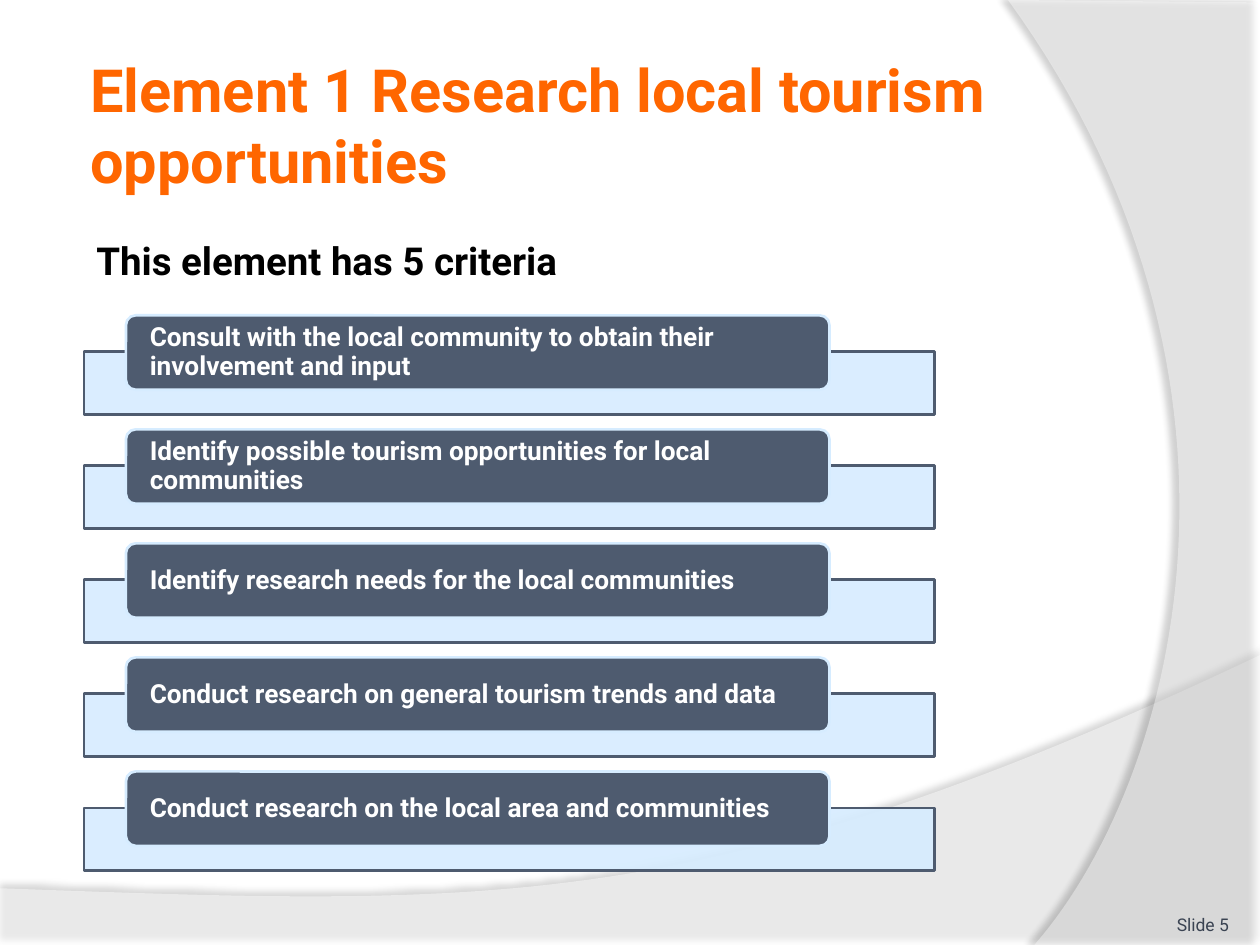
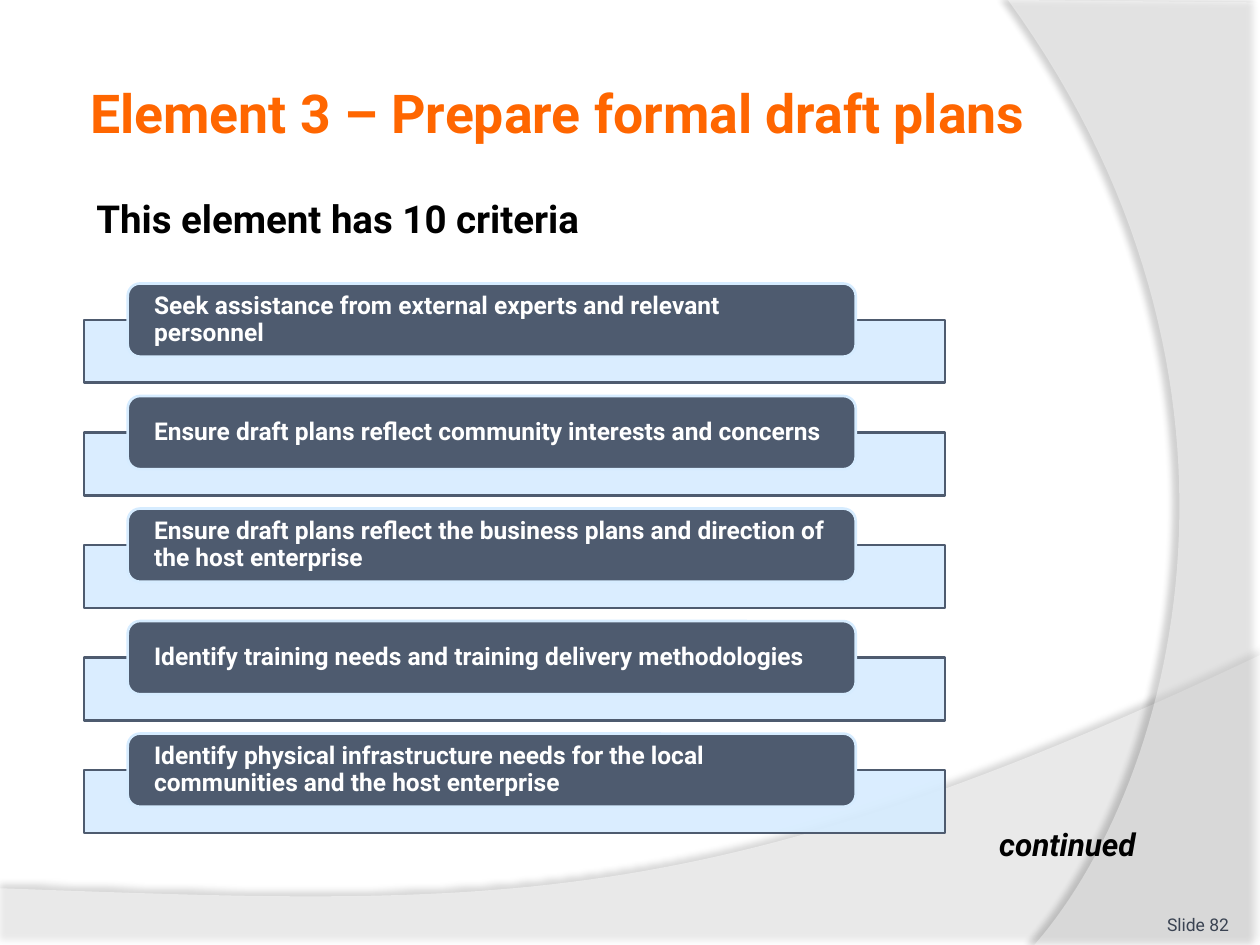
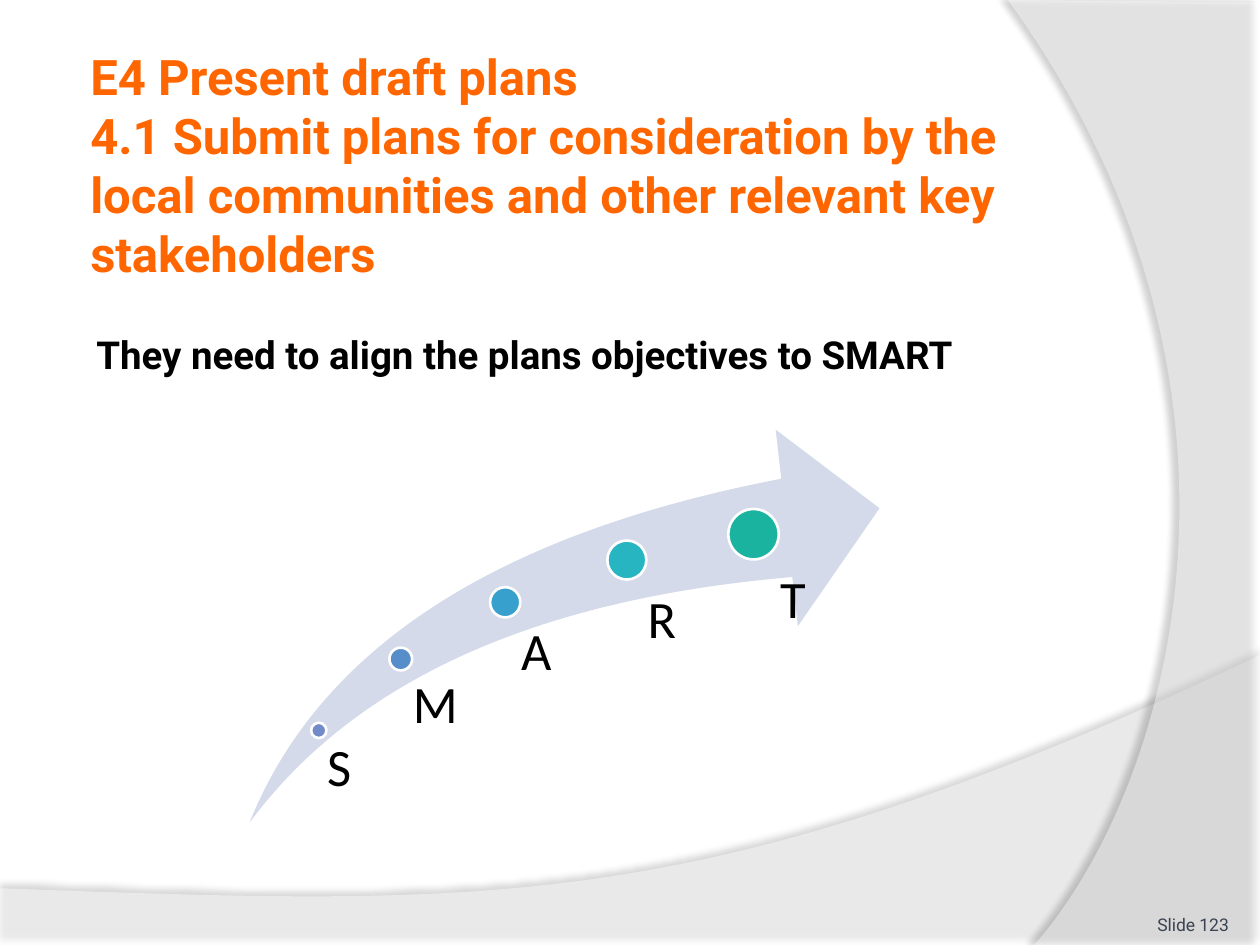
from lxml.etree import SubElement
from pptx import Presentation
from pptx.dml.color import RGBColor
from pptx.enum.shapes import MSO_SHAPE
from pptx.enum.text import MSO_ANCHOR, PP_ALIGN
from pptx.oxml.ns import qn
from pptx.util import Pt

COLORS = {
    "white": "FFFFFF", "black": "000000", "title": "FF6600", "footer": "3A4352",
    "slate": "4E5B6F", "pale": "D6ECFF", "swoosh": "D5DAEB",
    "dot1": "738AC8", "dot2": "578EC9", "dot3": "38A0CC", "dot4": "27B5C2", "dot5": "1AB39F",
}
FONT = "Roboto"
LEFT = 48
NO_INSETS = (0, 0, 0, 0)

SLIDES = [
    {
        "title": ["Element 1 Research local tourism opportunities"],
        "title_box": (LEFT, 26, 588, 90), "title_size": 34,
        "lead": "This element has 5 criteria",
        "lead_box": (LEFT, 131.8, 588, 390),
        "footer": "Slide 5",
        "criteria": [
            "Consult with the local community to obtain their involvement and input",
            "Identify possible tourism opportunities for local communities",
            "Identify research needs for the local communities",
            "Conduct research on general tourism trends and data",
            "Conduct research on the local area and communities",
        ],
        "layout": {"top": 180.2, "pitch": 65.16, "bar_width": 486, "box": (72, 402, 42.5),
                   "corner": 0.13, "inset": 12, "size": 15},
    },
    {
        "title": ["Element 3 – Prepare formal draft plans"],
        "title_box": (LEFT, 26, 605.5, 75.6), "title_size": 30.6,
        "lead": "This element has 10 criteria",
        "lead_box": (LEFT, 108, 588, 371),
        "footer": "Slide 82",
        "criteria": [
            "Seek assistance from external experts and relevant personnel",
            "Ensure draft plans reflect community interests and concerns",
            "Ensure draft plans reflect the business plans and direction of the host enterprise",
            "Identify training needs and training delivery methodologies",
            "Identify physical infrastructure needs for the local communities and the host enterprise",
        ],
        "layout": {"top": 162, "pitch": 64.3, "bar_width": 492, "box": (73, 416, 41.8),
                   "corner": 0.17, "inset": 13, "size": 14},
        "note": "continued",
    },
    {
        "title": ["E4 Present draft plans",
                  "4.1 Submit plans for consideration by the local communities "
                  "and other relevant key stakeholders"],
        "title_box": (LEFT, 26, 588, 136), "title_size": 28,
        "lead": "They need to align the plans objectives to SMART",
        "lead_box": (LEFT, 185.8, 588, 312),
        "footer": "Slide 123",
        "smart": [
            ("S", (182.2, 417.4), 8.8, (423.4, 47.5, 41.8), "dot1"),
            ("M", (229, 376.6), 13, (387.4, 59.8, 72.7), "dot2"),
            ("A", (288.7, 344.2), 17.3, (357.1, 69.1, 100.8), "dot3"),
            ("R", (358.2, 320), 22.3, (339.1, 72, 112.3), "dot4"),
            ("T", (430.6, 305.3), 28.8, (327.6, 72, 121.7), "dot5"),
        ],
    },
]
SWOOSH = (142.6, 245.5, 360, 224.6)
NOTE_BOX = (563.8, 468, 106.5, 29)
FOOTER_BOX = (642.2, 505.4, 60, 28.8)

WAVES = [
    {"points": [(0, 507.6), (0, 540), (720, 540), (720, 374.4)],
     "curve": [(402.5, 524.9), (281.5, 517.7), (0, 507.6)],
     "alpha": 45, "shadow": {"alpha": 35, "blur": 4, "dist": 3.5, "dir": 270}},
    {"points": [(720, 1.4), (720, 540), (591.1, 540)],
     "curve": [(673.2, 445.7), (733, 216), (576, 0)],
     "alpha": 40, "shadow": {"alpha": 45, "blur": 4, "dist": 4, "dir": 180}},
]


def rgb(name):
    return RGBColor.from_string(COLORS[name])


def paint(s, fill, line=None, alpha=None):
    s.shadow.inherit = False
    s.fill.solid()
    s.fill.fore_color.rgb = rgb(fill)
    if alpha:
        color = s._element.spPr.find(qn("a:solidFill"))[0]
        SubElement(color, qn("a:alpha"), val=str(alpha * 1000))
    if line:
        s.line.color.rgb = rgb(line)
        s.line.width = Pt(1.5)
    else:
        s.line.fill.background()


def add_shadow(s, alpha, blur, dist, dir):
    effects = s._element.spPr.find(qn("a:effectLst"))
    outer = SubElement(effects, qn("a:outerShdw"), blurRad=str(Pt(blur)), dist=str(Pt(dist)),
                       dir=str(dir * 60000), algn="ctr", rotWithShape="0")
    color = SubElement(outer, qn("a:srgbClr"), val=COLORS["black"])
    SubElement(color, qn("a:alpha"), val=str(alpha * 1000))


def write(s, lines, size, color, bold=True, italic=False, font=FONT, align=PP_ALIGN.LEFT,
          anchor=MSO_ANCHOR.TOP, insets=(7.2, 3.6, 7.2, 3.6), spacing=None, wrap=True):
    tf = s.text_frame
    tf.word_wrap = wrap
    tf.vertical_anchor = anchor
    tf.margin_left, tf.margin_top, tf.margin_right, tf.margin_bottom = map(Pt, insets)
    p = tf.paragraphs[0]
    p.alignment = align
    if spacing:
        p.line_spacing = spacing
    for i, line in enumerate(lines):
        if i:
            p.add_line_break()
        p.add_run().text = line
    f = p.font
    f.name, f.size, f.bold, f.italic = font, Pt(size), bold, italic
    f.color.rgb = rgb(color)


def add_text(slide, box, lines, size, color, **style):
    write(slide.shapes.add_textbox(*map(Pt, box)), lines, size, color, **style)


def add_preset(slide, kind, box, fill, line=None, alpha=None):
    s = slide.shapes.add_shape(kind, *map(Pt, box))
    paint(s, fill, line, alpha)
    return s


def bezier(a, b, c, d, steps=60):
    for i in range(1, steps + 1):
        t = i / steps
        u = 1 - t
        yield tuple(u**3 * k + 3 * u * u * t * m + 3 * u * t * t * n + t**3 * q
                    for k, m, n, q in zip(a, b, c, d))


def add_waves(slide):
    for wave in WAVES:
        points = wave["points"] + list(bezier(wave["points"][-1], *wave["curve"]))
        outline = [(Pt(x), Pt(y)) for x, y in points]
        builder = slide.shapes.build_freeform(*outline[0])
        builder.add_line_segments(outline[1:], close=True)
        s = builder.convert_to_shape()
        paint(s, "white", alpha=wave["alpha"])
        add_shadow(s, **wave["shadow"])


def add_criteria(slide, criteria, layout):
    left, width, height = layout["box"]
    for i, text in enumerate(criteria):
        top = layout["top"] + i * layout["pitch"]
        add_preset(slide, MSO_SHAPE.RECTANGLE, (LEFT, top + 20.8, layout["bar_width"], 36),
                   "pale", "slate", 90)
        s = add_preset(slide, MSO_SHAPE.ROUNDED_RECTANGLE, (left, top, width, height),
                       "slate", "pale")
        s.adjustments[0] = layout["corner"]
        write(s, [text], layout["size"], "white", anchor=MSO_ANCHOR.MIDDLE, spacing=0.9,
              insets=(layout["inset"], 0, layout["inset"], 0))


def add_smart(slide, smart):
    arrow = add_preset(slide, MSO_SHAPE.SWOOSH_ARROW, SWOOSH, "swoosh")
    arrow.adjustments[0] = arrow.adjustments[1] = 0.25
    for letter, (x, y), size, (top, width, height), color in smart:
        add_preset(slide, MSO_SHAPE.OVAL, (x - size / 2, y - size / 2, size, size),
                   color, "white")
        add_text(slide, (x, top, width, height), [letter], 30, "black", bold=False,
                 font="Calibri", insets=(size * 0.53, 0, 0, 0), spacing=0.9)


def build_slide(prs, data):
    slide = prs.slides.add_slide(prs.slide_layouts[6])
    add_waves(slide)
    add_text(slide, data["title_box"], data["title"], data["title_size"], "title",
             anchor=MSO_ANCHOR.MIDDLE, insets=(3.6, 3.6, 3.6, 3.6))
    add_text(slide, data["lead_box"], [data["lead"]], 22, "black")
    add_text(slide, FOOTER_BOX, [data["footer"]], 10, "footer", bold=False,
             align=PP_ALIGN.RIGHT, anchor=MSO_ANCHOR.BOTTOM, insets=NO_INSETS)
    if "criteria" in data:
        add_criteria(slide, data["criteria"], data["layout"])
    if "smart" in data:
        add_smart(slide, data["smart"])
    if "note" in data:
        add_text(slide, NOTE_BOX, [data["note"]], 18, "black", italic=True, wrap=False)


def main():
    prs = Presentation()
    prs.slide_width, prs.slide_height = Pt(720), Pt(540)
    for data in SLIDES:
        build_slide(prs, data)
    prs.save("out.pptx")


if __name__ == "__main__":
    main()
